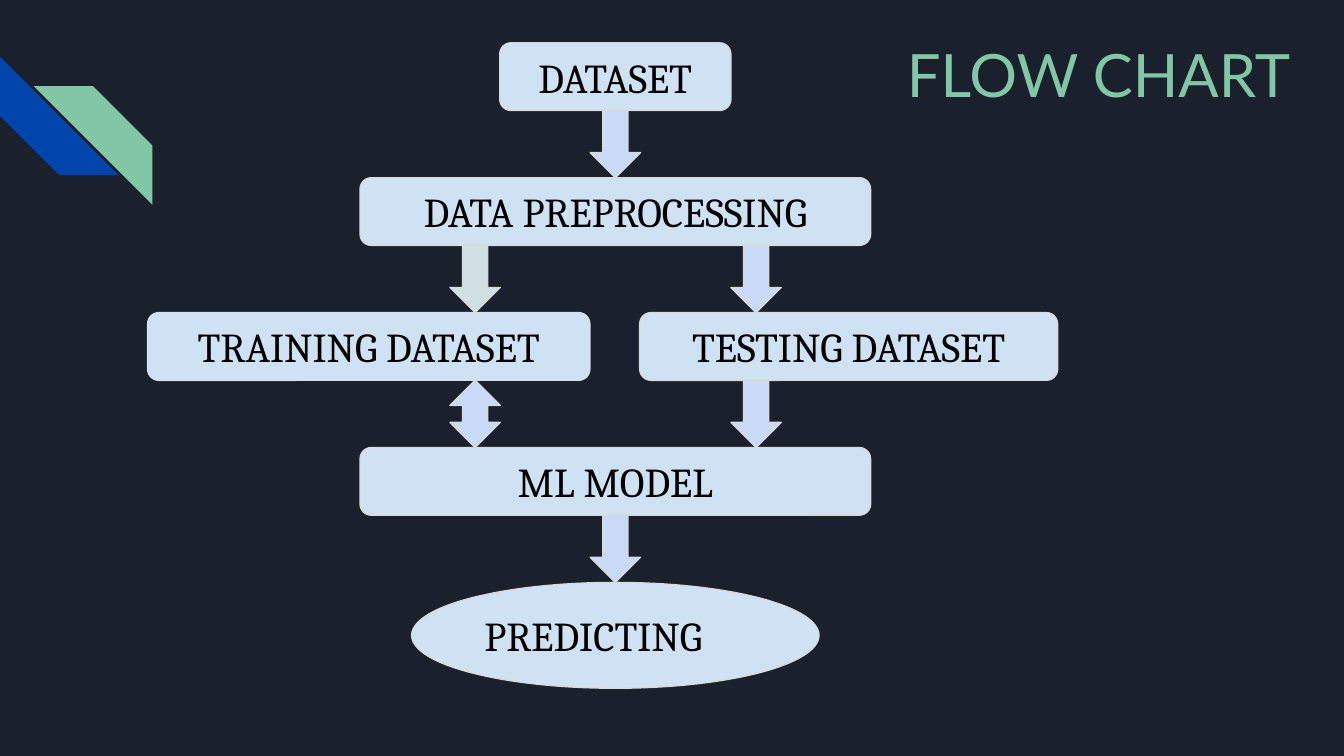
"""Build the machine learning flow chart slide."""
from dataclasses import dataclass

from pptx import Presentation
from pptx.dml.color import RGBColor
from pptx.enum.shapes import MSO_SHAPE
from pptx.enum.text import MSO_ANCHOR, PP_ALIGN
from pptx.util import Cm, Pt


@dataclass(frozen=True)
class Theme:
    background: str = "1B212C"
    blue: str = "0145AC"
    green: str = "82C7A5"
    box: str = "CFE2F3"
    arrow: str = "C9DAF8"
    training_arrow: str = "D0E0E3"
    outline: str = "D9D9D9"
    text: str = "000000"
    box_font: str = "Cambria"
    title_font: str = "Lato"
    box_size: float = 22
    title_size: float = 32
    line_width: float = 0.75


THEME = Theme()
TOP, PITCH, BOX_H = 0.81, 2.55, 1.28
LEFT, CENTER, RIGHT = 8.98, 11.63, 14.29
ARROW_W, INSET = 0.95, 0.25


def add_filled(s, kind, x, y, w, h, fill, outline=None):
    sp = s.shapes.add_shape(kind, Cm(x), Cm(y), Cm(w), Cm(h))
    sp.shadow.inherit = False
    sp.fill.solid()
    sp.fill.fore_color.rgb = RGBColor.from_string(fill)
    if outline:
        sp.line.color.rgb = RGBColor.from_string(outline)
        sp.line.width = Pt(THEME.line_width)
    else:
        sp.line.fill.background()
    return sp


def set_text(sp, text, font, size, color, align, anchor):
    tf = sp.text_frame
    tf.word_wrap = True
    tf.vertical_anchor = anchor
    tf.margin_left = tf.margin_right = Cm(INSET)
    tf.margin_top = tf.margin_bottom = Cm(INSET)
    p = tf.paragraphs[0]
    p.alignment = align
    r = p.add_run()
    r.text = text
    r.font.name = font
    r.font.size = Pt(size)
    r.font.color.rgb = RGBColor.from_string(color)


def add_step(s, text, center, row, w, h=BOX_H, kind=MSO_SHAPE.ROUNDED_RECTANGLE,
             outline=THEME.outline, align=PP_ALIGN.CENTER):
    sp = add_filled(s, kind, center - w / 2, TOP + row * PITCH, w, h, THEME.box, outline)
    set_text(sp, text, THEME.box_font, THEME.box_size, THEME.text, align, MSO_ANCHOR.MIDDLE)


def add_arrow(s, center, row, kind=MSO_SHAPE.DOWN_ARROW, fill=THEME.arrow):
    add_filled(s, kind, center - ARROW_W / 2, TOP + row * PITCH + BOX_H,
               ARROW_W, PITCH - BOX_H, fill, THEME.outline)


def add_stripe(s, x, y, rotation, fill):
    sp = add_filled(s, MSO_SHAPE.DIAGONAL_STRIPE, x, y, 2.24, 2.24, fill)
    sp.rotation = rotation


def add_title(s, text):
    sp = s.shapes.add_textbox(Cm(16.89), Cm(0.46), Cm(7.9), Cm(1.63))
    set_text(sp, text, THEME.title_font, THEME.title_size, THEME.green,
             PP_ALIGN.LEFT, MSO_ANCHOR.TOP)


def main():
    prs = Presentation()
    prs.slide_width, prs.slide_height = Cm(25.4), Cm(14.29)
    s = prs.slides.add_slide(prs.slide_layouts[6])
    s.background.fill.solid()
    s.background.fill.fore_color.rgb = RGBColor.from_string(THEME.background)

    add_stripe(s, 0, 1.07, 270, THEME.blue)
    add_stripe(s, 0.64, 1.63, 90, THEME.green)

    add_step(s, "DATASET", CENTER, 0, 4.37)
    add_arrow(s, CENTER, 0)
    add_step(s, "DATA PREPROCESSING", CENTER, 1, 9.65)
    add_step(s, "TRAINING DATASET", 6.97, 2, 8.36, outline=THEME.box)
    add_arrow(s, LEFT, 1, fill=THEME.training_arrow)
    add_step(s, "TESTING DATASET", 16.04, 2, 7.9)
    add_arrow(s, RIGHT, 1)
    add_step(s, "ML MODEL", CENTER, 3, 9.65)
    add_arrow(s, RIGHT, 2)
    add_arrow(s, LEFT, 2, kind=MSO_SHAPE.UP_DOWN_ARROW)
    add_step(s, "PREDICTING", CENTER, 4, 7.7, h=2, kind=MSO_SHAPE.OVAL, align=PP_ALIGN.LEFT)
    add_arrow(s, CENTER, 3)
    add_title(s, "FLOW CHART")

    prs.save("out.pptx")


if __name__ == "__main__":
    main()
